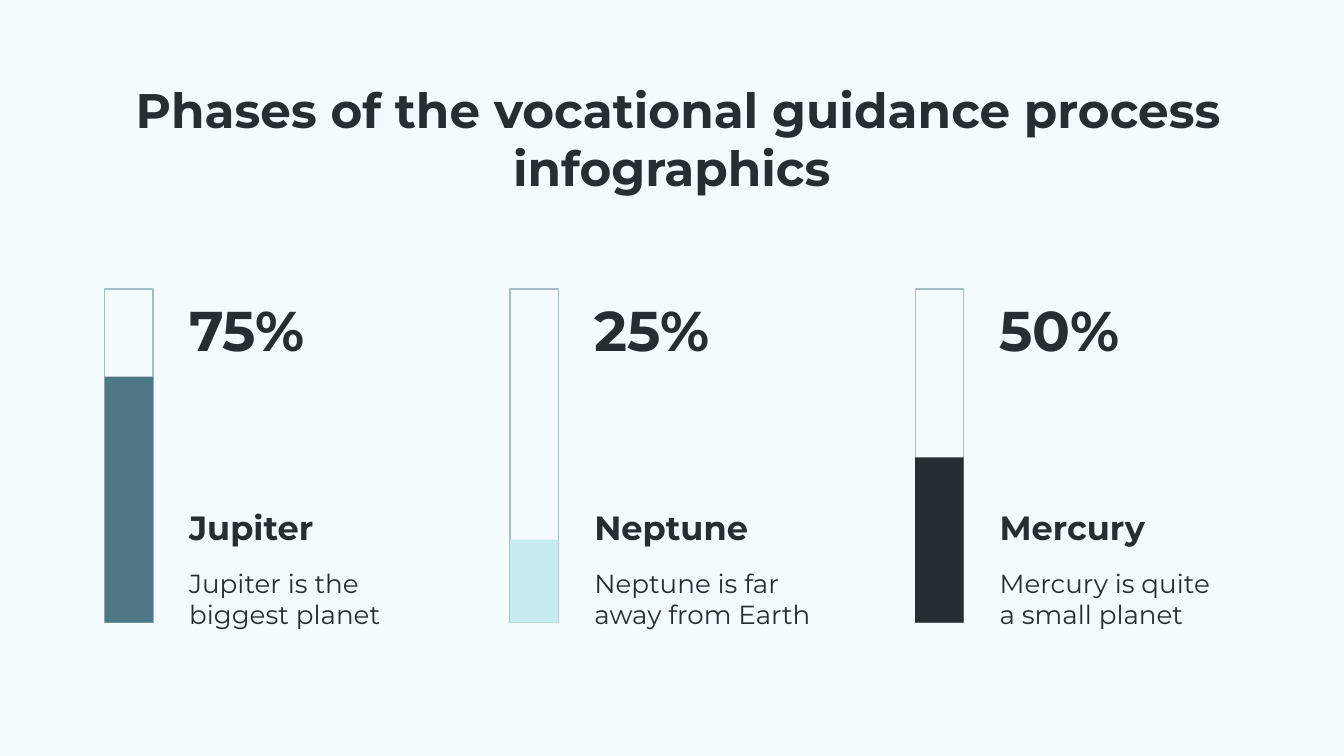
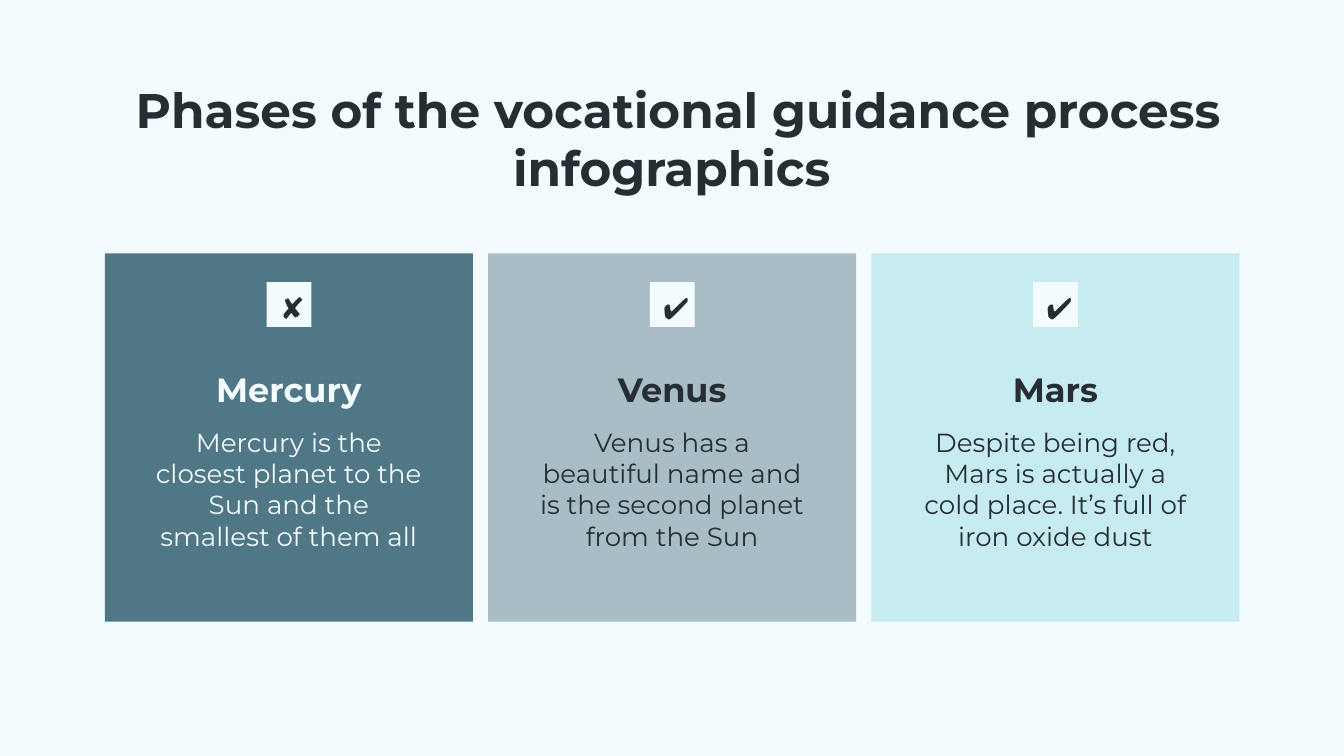
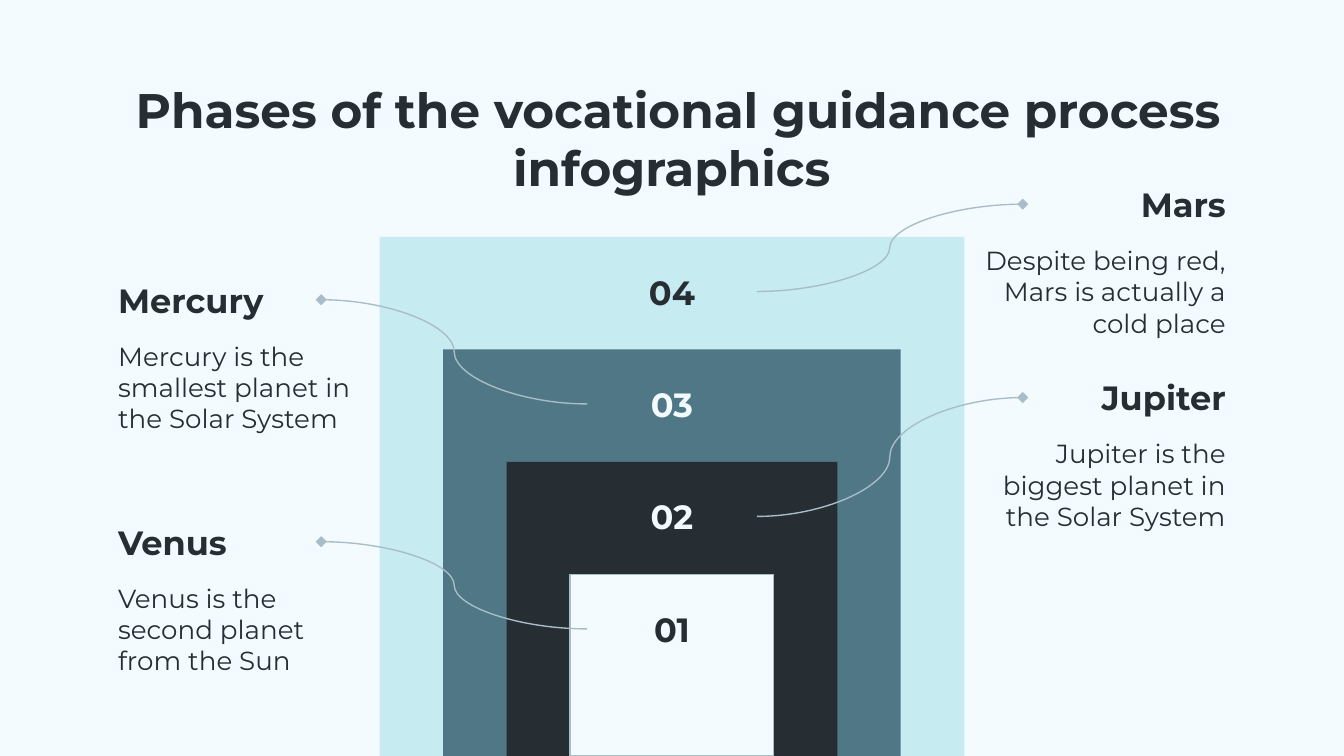
import pptx
import pptx.dml.color
import pptx.enum.shapes
import pptx.enum.text
import pptx.oxml.ns
import pptx.oxml.xmlchemy
import pptx.util
from lxml import etree

Pt = pptx.util.Pt
ALIGN = pptx.enum.text.PP_ALIGN
ANCHOR = pptx.enum.text.MSO_ANCHOR
FONT = "Montserrat"
COLORS = {
    "paper": "F3FBFF",
    "ink": "262D33",
    "teal": "4F7786",
    "gray": "A8BDC6",
    "aqua": "C6EBF0",
}
TITLE = " Phases of the vocational guidance process infographics"
SLIDE_WIDTH, SLIDE_HEIGHT = 720, 405
HEADING_HEIGHT = 28.8
LINE_WIDTH = 0.75


def rgb(color):
    return pptx.dml.color.RGBColor.from_string(COLORS[color])


def write(shape, text, size, color="ink", bold=False, align=ALIGN.LEFT,
          anchor=ANCHOR.TOP, spacing=None):
    frame = shape.text_frame
    frame.text = text
    frame.word_wrap = True
    frame.auto_size = pptx.enum.text.MSO_AUTO_SIZE.NONE
    frame.vertical_anchor = anchor
    frame.margin_left = frame.margin_right = Pt(7.2)
    frame.margin_top = frame.margin_bottom = Pt(7.2)
    paragraph = frame.paragraphs[0]
    paragraph.alignment = align
    if spacing:
        paragraph.line_spacing = spacing
    font = paragraph.runs[0].font
    font.name, font.size, font.bold = FONT, Pt(size), bold
    font.color.rgb = rgb(color)


def add_text(slide, left, top, width, height, text, size, **style):
    box = slide.shapes.add_textbox(Pt(left), Pt(top), Pt(width), Pt(height))
    write(box, text, size, **style)


def add_heading(slide, left, top, width, text, **style):
    add_text(slide, left, top, width, HEADING_HEIGHT, text, 18,
             bold=True, anchor=ANCHOR.MIDDLE, **style)


def add_rectangle(slide, left, top, width, height, fill=None, line=None):
    rectangle = slide.shapes.add_shape(
        pptx.enum.shapes.MSO_SHAPE.RECTANGLE, Pt(left), Pt(top), Pt(width), Pt(height))
    rectangle.shadow.inherit = False
    if fill:
        rectangle.fill.solid()
        rectangle.fill.fore_color.rgb = rgb(fill)
    else:
        rectangle.fill.background()
    if line:
        rectangle.line.color.rgb = rgb(line)
        rectangle.line.width = Pt(LINE_WIDTH)
    else:
        rectangle.line.fill.background()
    return rectangle


def add_curve(slide, start, end):
    curve = slide.shapes.add_connector(
        pptx.enum.shapes.MSO_CONNECTOR.CURVE, *map(Pt, start + end))
    curve.line.color.rgb = rgb("gray")
    curve.line.width = Pt(LINE_WIDTH)
    qn = pptx.oxml.ns.qn
    properties = curve.element.spPr
    etree.SubElement(properties.find(qn("a:ln")), qn("a:tailEnd"), type="diamond")
    etree.SubElement(properties, qn("a:effectLst"))


def add_slide(prs):
    slide = prs.slides.add_slide(prs.slide_layouts[5])
    title = slide.shapes.title
    title.left, title.top, title.width, title.height = map(Pt, (56.7, 35.43, 606.6, 70.8))
    write(title, TITLE, 26, bold=True, align=ALIGN.CENTER)
    return slide


def build_gauges(prs):
    slide = add_slide(prs)
    gauges = [
        ("75%", 131.8, "teal", "Jupiter", "Jupiter is the biggest planet"),
        ("25%", 44.5, "aqua", "Neptune", "Neptune is far away from Earth"),
        ("50%", 88.6, "ink", "Mercury", "Mercury is quite a small planet"),
    ]
    bar_width, bar_height, bottom = 26, 178.8, 333.6
    for index, (share, level, color, planet, description) in enumerate(gauges):
        left = 56.1 + 217.1 * index
        text_left = left + 38.1
        add_rectangle(slide, left, bottom - bar_height, bar_width, bar_height, line="gray")
        add_rectangle(slide, left, bottom - level, bar_width, level, fill=color)
        add_text(slide, text_left, 161.4, 86.4, 30.2, share, 30,
                 bold=True, anchor=ANCHOR.MIDDLE)
        add_heading(slide, text_left, 267.8, 135.4, planet)
        add_text(slide, text_left, 296.6, 135.4, 37.4, description, 14)


def build_cards(prs):
    slide = add_slide(prs)
    cards = [
        ("✘", True, "teal", "paper", "Mercury",
         "Mercury is the closest planet to the Sun and the smallest of them all"),
        ("✔", False, "gray", "ink", "Venus",
         "Venus has a beautiful name and is the second planet from the Sun"),
        ("✔", False, "aqua", "ink", "Mars",
         "Despite being red, Mars is actually a cold place. It’s full of iron oxide dust"),
    ]
    side, mark_side, text_width = 197.2, 24, 158.4
    for index, (mark, bold, fill, color, planet, description) in enumerate(cards):
        left = 56.2 + 205.3 * index
        text_left = left + (side - text_width) / 2
        add_rectangle(slide, left, 135.8, side, side, fill=fill)
        checkbox = add_rectangle(slide, left + (side - mark_side) / 2, 151.1,
                                 mark_side, mark_side, fill="paper")
        write(checkbox, mark, 16, bold=bold, anchor=ANCHOR.MIDDLE, spacing=1.15)
        add_heading(slide, text_left, 192.2, text_width, planet,
                    color=color, align=ALIGN.CENTER, spacing=1.15)
        add_text(slide, text_left, 221, text_width, 73.4, description, 14,
                 color=color, align=ALIGN.CENTER)


def build_layers(prs):
    slide = add_slide(prs)
    layers = [
        ("04", "aqua", None, "ink", "Mars", 95, True,
         "Despite being red, Mars is actually a cold place"),
        ("03", "teal", None, "paper", "Mercury", 146.2, False,
         "Mercury is the smallest planet in the Solar System"),
        ("02", "ink", None, "paper", "Jupiter", 198.6, True,
         "Jupiter is the biggest planet in the Solar System"),
        ("01", "paper", "gray", "ink", "Venus", 275.8, False,
         "Venus is the second planet from the Sun"),
    ]
    margin, heading_width, body_width = 56.2, 115.9, 144.9
    number_width, number_height = 90.8, 37.4
    number_left = (SLIDE_WIDTH - number_width) / 2
    for index, (number, fill, line, color, planet, top, on_right, description) in enumerate(layers):
        left, layer_top = 203.4 + 34 * index, 126.9 + 60.25 * index
        add_rectangle(slide, left, layer_top, SLIDE_WIDTH - 2 * left,
                      SLIDE_HEIGHT - layer_top, fill=fill, line=line)
        number_top = layer_top + 10.6
        add_text(slide, number_left, number_top, number_width, number_height, number, 18,
                 color=color, bold=True, align=ALIGN.CENTER, anchor=ANCHOR.MIDDLE)
        heading_left = body_left = margin
        start_x, end_x = number_left, margin + heading_width
        align = ALIGN.LEFT
        if on_right:
            heading_left = SLIDE_WIDTH - margin - heading_width
            body_left = SLIDE_WIDTH - margin - body_width
            start_x, end_x = number_left + number_width, heading_left
            align = ALIGN.RIGHT
        add_heading(slide, heading_left, top, heading_width, planet, align=align)
        add_text(slide, body_left, top + HEADING_HEIGHT, body_width, 59.8,
                 description, 14, align=align)
        layers[index] = ((start_x, number_top + number_height / 2),
                         (end_x, top + HEADING_HEIGHT / 2))
    for start, end in layers:
        add_curve(slide, start, end)


def main():
    """Build the three vocational guidance infographics."""
    prs = pptx.Presentation()
    prs.slide_width, prs.slide_height = Pt(SLIDE_WIDTH), Pt(SLIDE_HEIGHT)
    background = prs.slide_master.background.fill
    background.solid()
    background.fore_color.rgb = rgb("paper")
    build_gauges(prs)
    build_cards(prs)
    build_layers(prs)
    prs.save("out.pptx")


if __name__ == "__main__":
    main()
